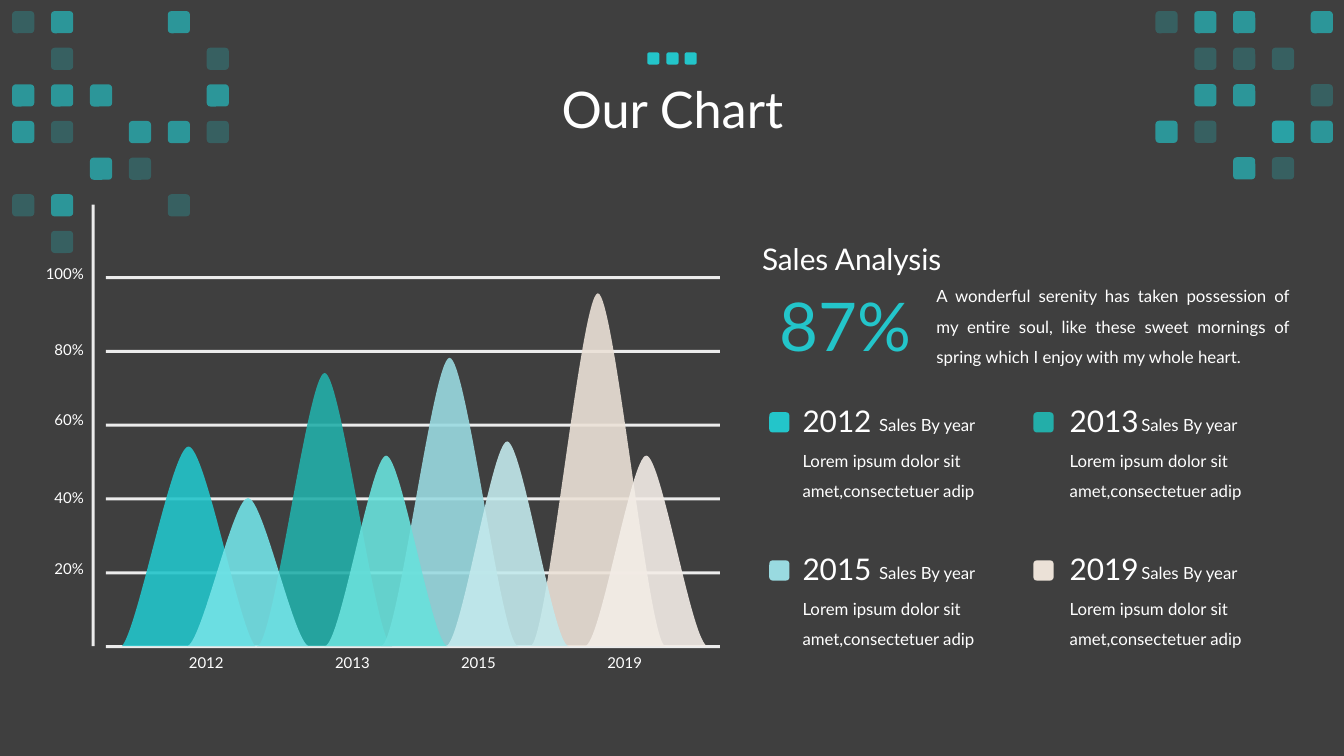
from pptx import Presentation
from pptx.dml.color import RGBColor
from pptx.enum.shapes import MSO_SHAPE
from pptx.enum.text import MSO_ANCHOR, MSO_AUTO_SIZE, PP_ALIGN
from pptx.oxml.ns import qn
from pptx.util import Inches, Pt
from lxml import etree

RECTANGLE, ROUNDED = MSO_SHAPE.RECTANGLE, MSO_SHAPE.ROUNDED_RECTANGLE
LEFT, CENTER, RIGHT, JUSTIFY = PP_ALIGN.LEFT, PP_ALIGN.CENTER, PP_ALIGN.RIGHT, PP_ALIGN.JUSTIFY
MIDDLE, TOP = MSO_ANCHOR.MIDDLE, MSO_ANCHOR.TOP
GROW, FIXED = MSO_AUTO_SIZE.SHAPE_TO_FIT_TEXT, MSO_AUTO_SIZE.NONE
FONT = "Lato"
DARK, WHITE, CYAN, TEAL, SKY, SAND = "3F3F3F", "FFFFFF", "23C5CA", "23AEA9", "99DAE0", "EBE1D7"
TILE = 0.22
TILE_OPACITIES = {".": (), "d": (25,), "B": (65,), "X": (65, 25)}
LEFT_MOSAIC = ["dB..B.", ".d...d", "BBB..B", "Bd.BBd", "..Bd..", "dB..d.", ".d...."]
RIGHT_MOSAIC = ["dBB.B", ".ddd.", ".BB.d", "Bd.XB", "..Bd."]
PEAKS = [
    (0.96, 1.98, 0.66, 0.2, CYAN),
    (5.02, 3.5, 0.67, 0, SAND),
    (2.31, 2.71, 0.67, 0, TEAL),
    (3.55, 2.86, 0.68, 0, SKY),
    (1.55, 1.47, 0.6, 0.06, "73E3E7"),
    (5.5, 1.89, 0.61, 0, "F3EDE7"),
    (4.12, 2.03, 0.61, 0, "C2E9EC"),
    (2.92, 1.89, 0.61, 0, "69E1DC"),
]
PERCENT_LABELS = [("100%", 0.55), ("80%", 1.3), ("60%", 1.99), ("40%", 2.77), ("20%", 3.47)]
YEAR_LABELS = [("2012", 0.86), ("2013", 2.31), ("2015", 3.56), ("2019", 5.01)]


def color(hex_text):
    return RGBColor.from_string(hex_text)


def paint(shape, hex_text, opacity=100):
    shape.shadow.inherit = False
    shape.line.fill.background()
    shape.fill.solid()
    shape.fill.fore_color.rgb = color(hex_text)
    if opacity < 100:
        tint = shape.fill._xPr.find(qn("a:solidFill"))[0]
        etree.SubElement(tint, qn("a:alpha"), val=str(opacity * 1000))


def add_block(shapes, kind, box, hex_text, opacity=100):
    paint(shapes.add_shape(kind, *map(Inches, box)), hex_text, opacity)


def add_text(page, box, text, size, hex_text=WHITE, align=LEFT, wrap=True,
             spacing=None, insets=(0.1, 0.05), anchor=TOP, fit=GROW):
    frame = page.shapes.add_textbox(*map(Inches, box)).text_frame
    frame.word_wrap = wrap
    frame.auto_size = fit
    frame.vertical_anchor = anchor
    frame.margin_left = frame.margin_right = Inches(insets[0])
    frame.margin_top = frame.margin_bottom = Inches(insets[1])
    para = frame.paragraphs[0]
    para.text = text
    para.alignment = align
    para.line_spacing = spacing
    para.font.name = FONT
    para.font.size = Pt(size)
    para.font.color.rgb = color(hex_text)


def add_header(page, left, top, width, height):
    add_text(page, (left, top, width, height), "Our Chart", 36,
             align=CENTER, spacing=0.9, anchor=MIDDLE, fit=FIXED)
    dots = page.shapes.add_group_shape()
    for offset in (-0.25, -0.06, 0.12):
        add_block(dots.shapes, ROUNDED, (left + width / 2 + offset, top + 0.13, 0.12, 0.12), CYAN)


def add_mosaic(page, left, top, width, height, pattern):
    tiles = page.shapes.add_group_shape()
    column_step = (width - TILE) / (len(pattern[0]) - 1)
    row_step = (height - TILE) / (len(pattern) - 1)
    for row, marks in enumerate(pattern):
        for column, mark in enumerate(marks):
            for opacity in TILE_OPACITIES[mark]:
                box = (left + column * column_step, top + row * row_step, TILE, TILE)
                add_block(tiles.shapes, ROUNDED, box, CYAN, opacity)


def bend_segments(shape):
    segments = list(shape._element.iter(qn("a:lnTo")))
    for start in range(0, len(segments), 3):
        curve = etree.Element(qn("a:cubicBezTo"))
        segments[start].addprevious(curve)
        for segment in segments[start:start + 3]:
            curve.append(segment[0])
            segment.getparent().remove(segment)


def add_peak(page, center, base, height, half_width, lift, hex_text):
    rising = [(1, 0), (0.75, lift), (0.25, height), (0, height)]
    points = [(center - reach * half_width, base - rise) for reach, rise in rising]
    points += [(center + reach * half_width, base - rise) for reach, rise in rising[-2::-1]]
    outline = [(Inches(x), Inches(y)) for x, y in points]
    builder = page.shapes.build_freeform(*outline[0])
    builder.add_line_segments(outline[1:], close=True)
    peak = builder.convert_to_shape()
    bend_segments(peak)
    paint(peak, hex_text, 90)


def add_peak_chart(page, left, top, width, height):
    grid_left, first_line, line = left + 0.14, top + 0.71, 0.03
    grid_step = (height - 0.72) / 5
    for index in range(6):
        box = (grid_left, first_line + index * grid_step, width - 0.14, line)
        add_block(page.shapes, RECTANGLE, box, WHITE, 90)
    add_block(page.shapes, RECTANGLE, (left, top, line, height), WHITE, 90)
    for center, peak_height, half_width, lift, hex_text in PEAKS:
        add_peak(page, left + center, top + height, peak_height, half_width, lift, hex_text)
    for label, offset in PERCENT_LABELS:
        label_width = 0.59 if label == "100%" else 0.5
        box = (left + 0.02 - label_width, top + offset, label_width, 0.28)
        add_text(page, box, label, 10.7, align=RIGHT, wrap=False)
    for label, offset in YEAR_LABELS:
        box = (left + offset, top + height + 0.02, 0.55, 0.28)
        add_text(page, box, label, 10.7, align=CENTER, wrap=False)


def add_summary(page, left, top):
    add_text(page, (left, top, 2.12, 0.46), "Sales Analysis", 21.3, wrap=False)
    add_text(page, (left + 1.73, top + 0.35, 3.7, 0.97),
             "A wonderful serenity has taken possession of my entire soul, like these "
             "sweet mornings of spring which I enjoy with my whole heart.",
             12, align=JUSTIFY, spacing=1.5)
    add_text(page, (left + 0.17, top + 0.43, 1.53, 0.91), "87%", 48, CYAN, wrap=False)


def add_year_card(page, left, top, year, hex_text, text_offset, caption_offset):
    insets = (0.13, 0.07)
    text_left = left + text_offset
    add_block(page.shapes, ROUNDED, (left, top + 0.17, 0.2, 0.2), hex_text)
    add_text(page, (text_left, top, 1.2, 0.55), year, 21.3, insets=insets, fit=FIXED)
    add_text(page, (text_left + caption_offset, top + 0.12, 1.49, 0.29),
             "Sales By year", 12, insets=insets, fit=FIXED)
    add_text(page, (text_left, top + 0.38, 2.2, 0.7),
             "Lorem ipsum dolor sit amet,consectetuer adip", 12, spacing=1.5, insets=insets)


def add_legend(page, left, top):
    columns = [(left, 0.2, 0.76), (left + 2.62, 0.23, 0.71)]
    rows = [[("2012", CYAN), ("2013", TEAL)], [("2015", SKY), ("2019", SAND)]]
    for row, cards in enumerate(rows):
        for (card_left, text_offset, caption_offset), (year, hex_text) in zip(columns, cards):
            add_year_card(page, card_left, top + row * 1.47, year, hex_text,
                          text_offset, caption_offset)


def main():
    deck = Presentation()
    deck.slide_width, deck.slide_height = Inches(13.33), Inches(7.5)
    page = deck.slides.add_slide(deck.slide_layouts[6])
    page.background.fill.solid()
    page.background.fill.fore_color.rgb = color(DARK)
    add_header(page, 0.92, 0.39, 11.5, 1.45)
    add_peak_chart(page, 0.91, 2.03, 6.23, 4.38)
    add_legend(page, 7.63, 3.92)
    add_summary(page, 7.46, 2.34)
    add_mosaic(page, 0.12, 0.11, 2.15, 2.4, LEFT_MOSAIC)
    add_mosaic(page, 11.46, 0.11, 1.76, 1.67, RIGHT_MOSAIC)
    deck.save("out.pptx")


if __name__ == "__main__":
    main()
